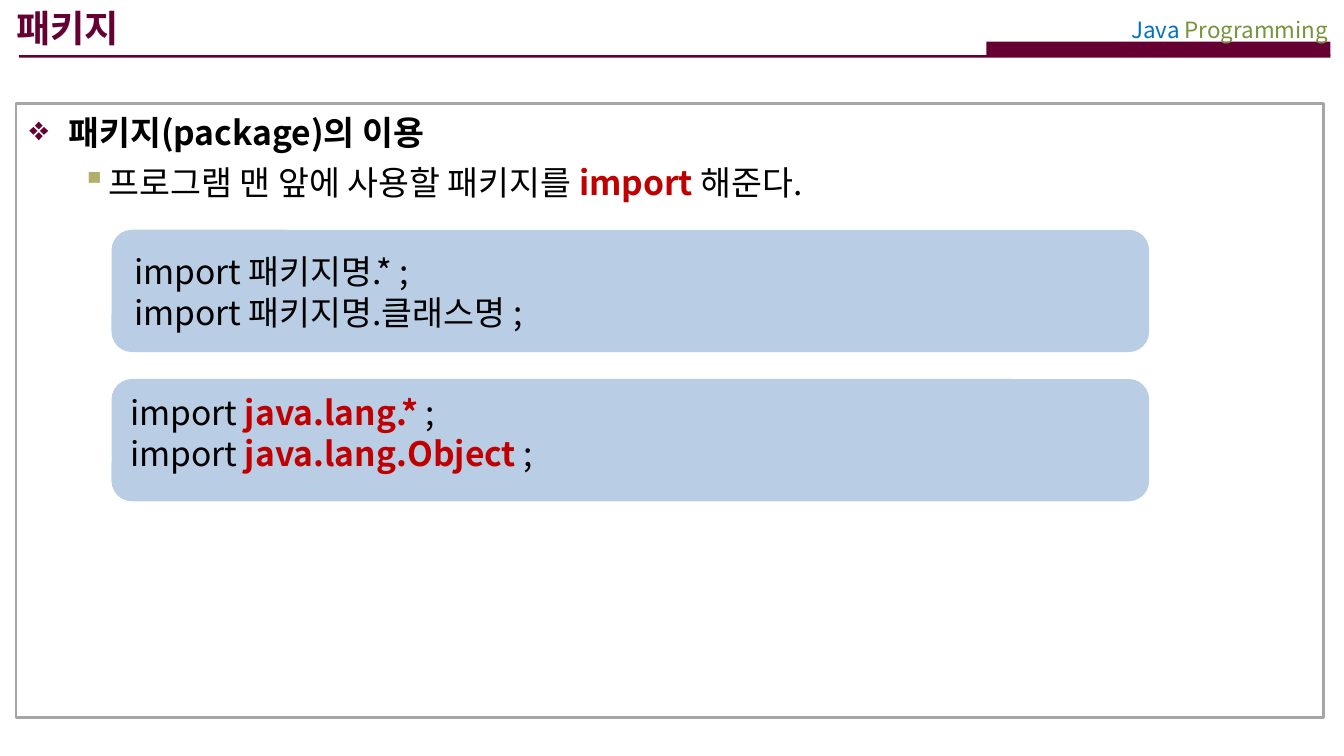
import pptx
import pptx.dml.color
import pptx.enum.shapes
import pptx.enum.text
import pptx.oxml
import pptx.oxml.ns
import pptx.util
from lxml import etree

Inches, Pt = pptx.util.Inches, pptx.util.Pt
RGBColor = pptx.dml.color.RGBColor
Shape = pptx.enum.shapes.MSO_SHAPE
Align = pptx.enum.text.PP_ALIGN
Anchor = pptx.enum.text.MSO_ANCHOR
qn = pptx.oxml.ns.qn

WINE = RGBColor(0x66, 0x00, 0x33)
BLACK = RGBColor(0x00, 0x00, 0x00)
RED = RGBColor(0xC0, 0x00, 0x00)
BLUE = RGBColor(0x00, 0x70, 0xC0)
GREEN = RGBColor(0x77, 0x93, 0x3C)
OLIVE = RGBColor(0xB1, 0xAE, 0x6B)
GRAY = RGBColor(0xA6, 0xA6, 0xA6)
PALE_BLUE = RGBColor(0xB9, 0xCD, 0xE5)


class LessonPage:
    """Holds the lesson style and draws its elements on one slide."""

    font_name = "Noto Sans CJK KR"
    bullet_font = "OpenSymbol"
    line_ratio = 1.22

    def __init__(self, deck):
        self.page = deck.slides.add_slide(deck.slide_layouts[5])

    def place(self, shape, left, top, width, height):
        shape.left, shape.top = Inches(left), Inches(top)
        shape.width, shape.height = Inches(width), Inches(height)

    def panel(self, left, top, width, height, fill=None, line=None, corner=None):
        kind = Shape.RECTANGLE if corner is None else Shape.ROUNDED_RECTANGLE
        box = self.page.shapes.add_shape(
            kind, Inches(left), Inches(top), Inches(width), Inches(height))
        if corner is not None:
            box.adjustments[0] = corner
        box.shadow.inherit = False
        if fill is None:
            box.fill.background()
        else:
            box.fill.solid()
            box.fill.fore_color.rgb = fill
        if line is None:
            box.line.fill.background()
        else:
            box.line.color.rgb = line
            box.line.width = Pt(1.5)

    def bullet(self, para, symbol, color, margin, indent):
        properties = para._p.get_or_add_pPr()
        properties.set("marL", str(Inches(margin)))
        properties.set("indent", str(Inches(indent)))
        paint = etree.SubElement(properties, qn("a:buClr"))
        etree.SubElement(paint, qn("a:srgbClr"), val=str(color))
        etree.SubElement(properties, qn("a:buFont"), typeface=self.bullet_font)
        etree.SubElement(properties, qn("a:buChar"), char=symbol)

    def style(self, para, size, color=BLACK, bold=False, align=Align.LEFT):
        para.alignment = align
        para.line_spacing = Pt(round(size * self.line_ratio))
        font = para.font
        font.size, font.bold, font.name = Pt(size), bold, self.font_name
        font.color.rgb = color
        defaults = para._p.pPr.find(qn("a:defRPr"))
        etree.SubElement(defaults, qn("a:ea"), typeface=self.font_name)

    def spans(self, para, parts):
        for words, color in parts:
            span = para.add_run()
            span.text = words
            if color is not None:
                span.font.color.rgb = color
                span.font.bold = color == RED

    def title(self, words):
        box = self.page.shapes.title
        self.place(box, 0, -0.01, 6.97, 0.41)
        frame = box.text_frame
        frame.margin_left = Inches(0.12)
        frame.vertical_anchor = Anchor.TOP
        frame.text = words
        self.style(frame.paragraphs[0], 20, WINE, bold=True)

    def text(self, left, top, width, height, wrap=True):
        box = self.page.shapes.add_textbox(
            Inches(left), Inches(top), Inches(width), Inches(height))
        box.text_frame.word_wrap = wrap
        return box.text_frame

    def header(self, parts):
        para = self.text(7.93, 0.06, 2.05, 0.3).paragraphs[0]
        self.style(para, 12, align=Align.RIGHT)
        self.spans(para, parts)

    def outline(self, heading, detail):
        frame = self.text(0.12, 0.78, 9.75, 4.42)
        first, second = frame.paragraphs[0], frame.add_paragraph()
        self.bullet(first, "❖", WINE, 0.29, -0.29)
        self.style(first, 18, bold=True)
        self.spans(first, [(heading, None)])
        second.level = 1
        self.bullet(second, "▪", OLIVE, 0.59, -0.2)
        self.style(second, 18)
        second.space_before = Pt(4.5)
        self.spans(second, detail)

    def code(self, panel_top, left, top, width, lines):
        self.panel(0.83, panel_top, 7.72, 0.91, fill=PALE_BLUE, corner=0.167)
        frame = self.text(left, top, width, 0.7, wrap=False)
        for index, parts in enumerate(lines):
            para = frame.add_paragraph() if index else frame.paragraphs[0]
            self.style(para, 18)
            self.spans(para, parts)


def main():
    deck = pptx.Presentation()
    deck.slide_width = Inches(10)
    deck.slide_height = deck.slide_width * 9 // 16
    lesson = LessonPage(deck)
    lesson.panel(7.34, 0.31, 2.56, 0.11, fill=WINE)
    lesson.panel(0.14, 0.41, 9.76, 0.02, fill=WINE)
    lesson.header([("Java ", BLUE), ("Programming", GREEN)])
    lesson.title("패키지")
    lesson.outline("패키지(package)의 이용", [
        ("프로그램 맨 앞에 사용할 패키지를 ", None), ("import ", RED), ("해준다.", None)])
    lesson.panel(0.12, 0.77, 9.73, 4.57, line=GRAY, corner=0)
    lesson.code(1.71, 0.9, 1.81, 3.34, [
        [("import 패키지명.* ;", None)], [("import 패키지명.클래스명 ;", None)]])
    lesson.code(2.82, 0.87, 2.86, 3.22, [
        [("import ", None), (name + " ", RED), (";", None)]
        for name in ("java.lang.*", "java.lang.Object")])
    deck.save("out.pptx")


if __name__ == "__main__":
    main()
